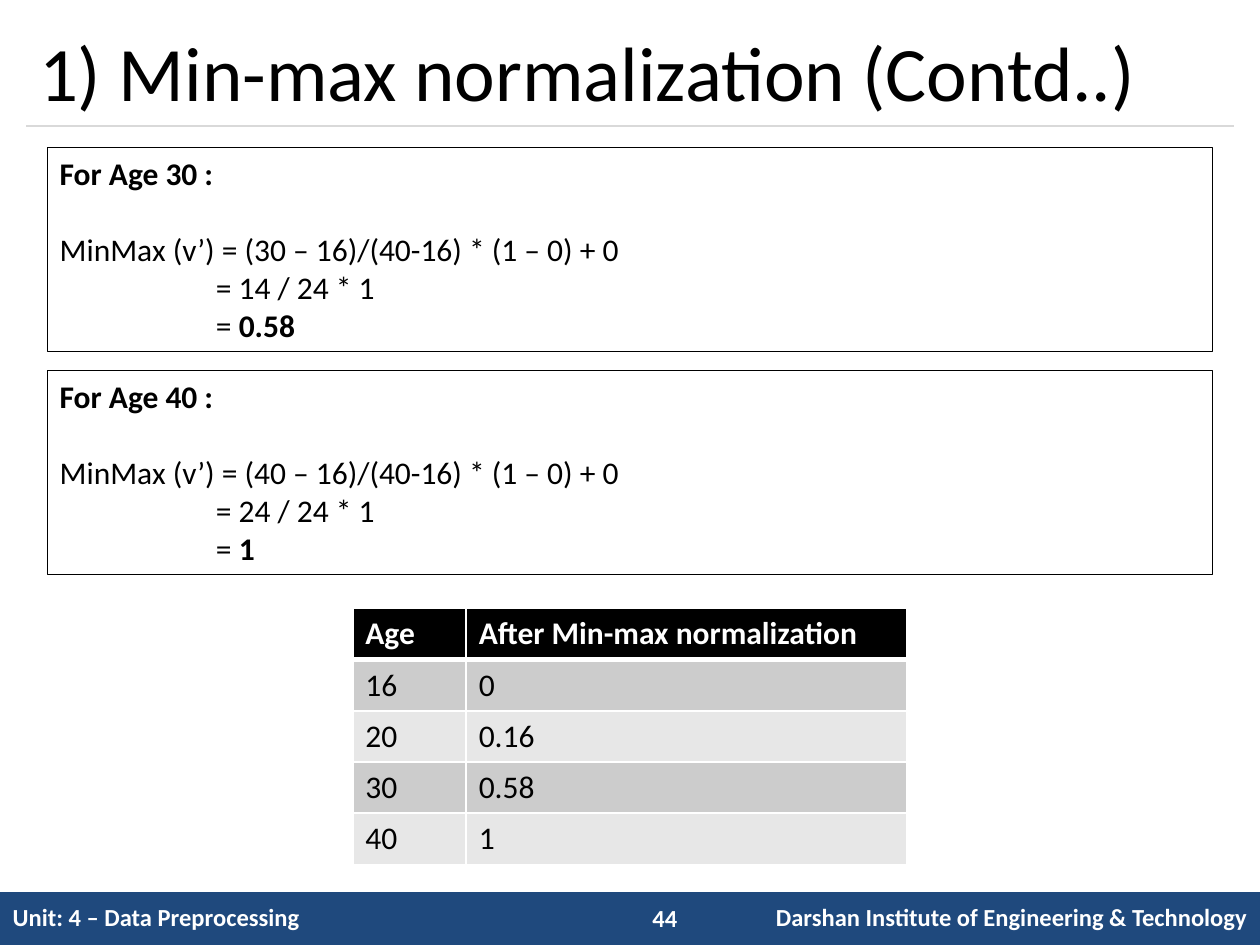
from dataclasses import dataclass
from typing import Optional

from lxml import etree
from pptx import Presentation
from pptx import util as u
from pptx.dml.color import RGBColor
from pptx.enum import shapes, text
from pptx.oxml import ns

BLACK = RGBColor(0x00, 0x00, 0x00)
WHITE = RGBColor(0xFF, 0xFF, 0xFF)
NAVY = RGBColor(0x1F, 0x49, 0x7D)
RULE_GRAY = RGBColor(0xD9, 0xD9, 0xD9)
BANDS = (RGBColor(0xCC, 0xCC, 0xCC), RGBColor(0xE7, 0xE7, 0xE7))

FONT = "Calibri"
COLUMNS, ROWS = 100, 75
WIDTH, HEIGHT = u.Inches(10), u.Inches(7.5)
BODY_SIZE, FOOTER_SIZE = 18, 14
BLANK_LINE = u.Pt(22)
EQUALS_INDENT = u.Inches(1.24)


@dataclass(frozen=True)
class Area:
    column: float
    row: float
    columns: float
    rows: float

    def place(self) -> tuple[int, int, int, int]:
        return across(self.column), down(self.row), across(self.columns), down(self.rows)


@dataclass(frozen=True)
class Calculation:
    age: int
    difference: int
    result: str


@dataclass(frozen=True)
class CellLook:
    fill: RGBColor
    color: RGBColor
    size: float
    bold: bool
    border: Optional[float] = None
    bottom: Optional[float] = None


CALCULATIONS = (Calculation(30, 14, "0.58"), Calculation(40, 24, "1"))
AGES = (("Age", "After Min-max normalization"),
        ("16", "0"), ("20", "0.16"), ("30", "0.58"), ("40", "1"))
FOOTER = ("Unit: 4 – Data Preprocessing", "", "Darshan Institute of Engineering & Technology")


def across(columns: float) -> int:
    return round(WIDTH * columns / COLUMNS)


def down(rows: float) -> int:
    return round(HEIGHT * rows / ROWS)


def add_run(paragraph, words: str, size: float, color: RGBColor = BLACK, bold: bool = False) -> None:
    run = paragraph.add_run()
    run.text = words
    run.font.name = FONT
    run.font.size = u.Pt(size)
    run.font.bold = bold
    run.font.color.rgb = color


def add_panel(slide, area: Area):
    panel = slide.shapes.add_shape(shapes.MSO_SHAPE.RECTANGLE, *area.place())
    panel.shadow.inherit = False
    panel.text_frame.word_wrap = True
    panel.text_frame.vertical_anchor = text.MSO_ANCHOR.TOP
    panel.text_frame.paragraphs[0].alignment = text.PP_ALIGN.LEFT
    return panel


def add_title(slide) -> None:
    title = slide.shapes.title
    title.left, title.top, title.width, title.height = Area(2.1, 1.2, 95.8, 8.8).place()
    frame = title.text_frame
    frame.auto_size = text.MSO_AUTO_SIZE.NONE
    frame.vertical_anchor = text.MSO_ANCHOR.MIDDLE
    frame.paragraphs[0].alignment = text.PP_ALIGN.LEFT
    add_run(frame.paragraphs[0], "1) Min-max normalization (Contd..)", 44)


def add_title_rule(slide) -> None:
    rule = slide.shapes.add_connector(
        shapes.MSO_CONNECTOR.STRAIGHT, across(2.1), down(10), across(97.9), down(10))
    rule.line.color.rgb = RULE_GRAY
    rule.line.width = u.Pt(0.75)
    etree.SubElement(rule._element.spPr, ns.qn("a:effectLst"))


def add_calculation(slide, area: Area, calculation: Calculation) -> None:
    panel = add_panel(slide, area)
    panel.fill.background()
    panel.line.color.rgb = BLACK
    panel.line.width = u.Pt(0.75)
    frame = panel.text_frame
    add_run(frame.paragraphs[0], f"For Age {calculation.age} :", BODY_SIZE, bold=True)
    formula, quotient, result = (frame.add_paragraph() for _ in range(3))
    for step in (formula, quotient, result):
        step.alignment = text.PP_ALIGN.LEFT
    for step in (quotient, result):
        step._p.get_or_add_pPr().set("marL", str(EQUALS_INDENT))
    formula.space_before = BLANK_LINE
    add_run(formula, f"MinMax (v’) = ({calculation.age} – 16)/(40-16) * (1 – 0) + 0", BODY_SIZE)
    add_run(quotient, f"= {calculation.difference} / 24 * 1", BODY_SIZE)
    add_run(result, "= ", BODY_SIZE)
    add_run(result, calculation.result, BODY_SIZE, bold=True)


def add_border(cell, side: str, width: Optional[float]) -> None:
    border = etree.SubElement(cell._tc.get_or_add_tcPr(), ns.qn(f"a:ln{side}"))
    if width is None:
        etree.SubElement(border, ns.qn("a:noFill"))
        return
    border.set("w", str(u.Pt(width)))
    fill = etree.SubElement(border, ns.qn("a:solidFill"))
    etree.SubElement(fill, ns.qn("a:srgbClr")).set("val", str(WHITE))


def fill_cell(cell, words: str, look: CellLook):
    for side in "LRT":
        add_border(cell, side, look.border)
    add_border(cell, "B", look.bottom or look.border)
    cell.fill.solid()
    cell.fill.fore_color.rgb = look.fill
    paragraph = cell.text_frame.paragraphs[0]
    if words:
        add_run(paragraph, words, look.size, look.color, look.bold)
    return paragraph


def add_grid(slide, area: Area, row_count: int, widths: tuple[float, ...]):
    grid = slide.shapes.add_table(row_count, len(widths), *area.place()).table
    for column, width in zip(grid.columns, widths):
        column.width = across(width)
    return grid


def add_ages(slide) -> None:
    grid = add_grid(slide, Area(28, 48.3, 44, 20.3), len(AGES), (9, 35))
    header = CellLook(BLACK, WHITE, BODY_SIZE, True, 1, 3)
    for row, values in enumerate(AGES):
        look = header if row == 0 else CellLook(BANDS[(row - 1) % 2], BLACK, BODY_SIZE, False, 1)
        for column, value in enumerate(values):
            fill_cell(grid.cell(row, column), value, look)
    for column in range(len(AGES[0])):
        top = grid.cell(1, column)._tc.tcPr.find(ns.qn("a:lnT"))
        top.set("w", str(u.Pt(header.bottom)))


def add_footer(slide) -> None:
    bar = add_grid(slide, Area(0, 70.8, 100, 4.2), 1, (50.8, 6.7, 42.5))
    look = CellLook(NAVY, WHITE, FOOTER_SIZE, True)
    for column, words in enumerate(FOOTER):
        cell = bar.cell(0, column)
        cell.vertical_anchor = text.MSO_ANCHOR.MIDDLE
        paragraph = fill_cell(cell, words, look)
    paragraph.alignment = text.PP_ALIGN.RIGHT
    number = add_panel(slide, Area(50.8, 71.2, 5.8, 3.4))
    number.fill.solid()
    number.fill.fore_color.rgb = NAVY
    number.line.fill.background()
    add_run(number.text_frame.paragraphs[0], "44", FOOTER_SIZE, WHITE, True)


def main() -> None:
    deck = Presentation()
    deck.slide_width, deck.slide_height = WIDTH, HEIGHT
    slide = deck.slides.add_slide(deck.slide_layouts.get_by_name("Title Only"))
    add_title_rule(slide)
    add_footer(slide)
    add_title(slide)
    add_ages(slide)
    for position, calculation in enumerate(CALCULATIONS):
        add_calculation(slide, Area(3.75, 11.7 + 17.7 * position, 92.5, 16.2), calculation)
    deck.save("out.pptx")


if __name__ == "__main__":
    main()
